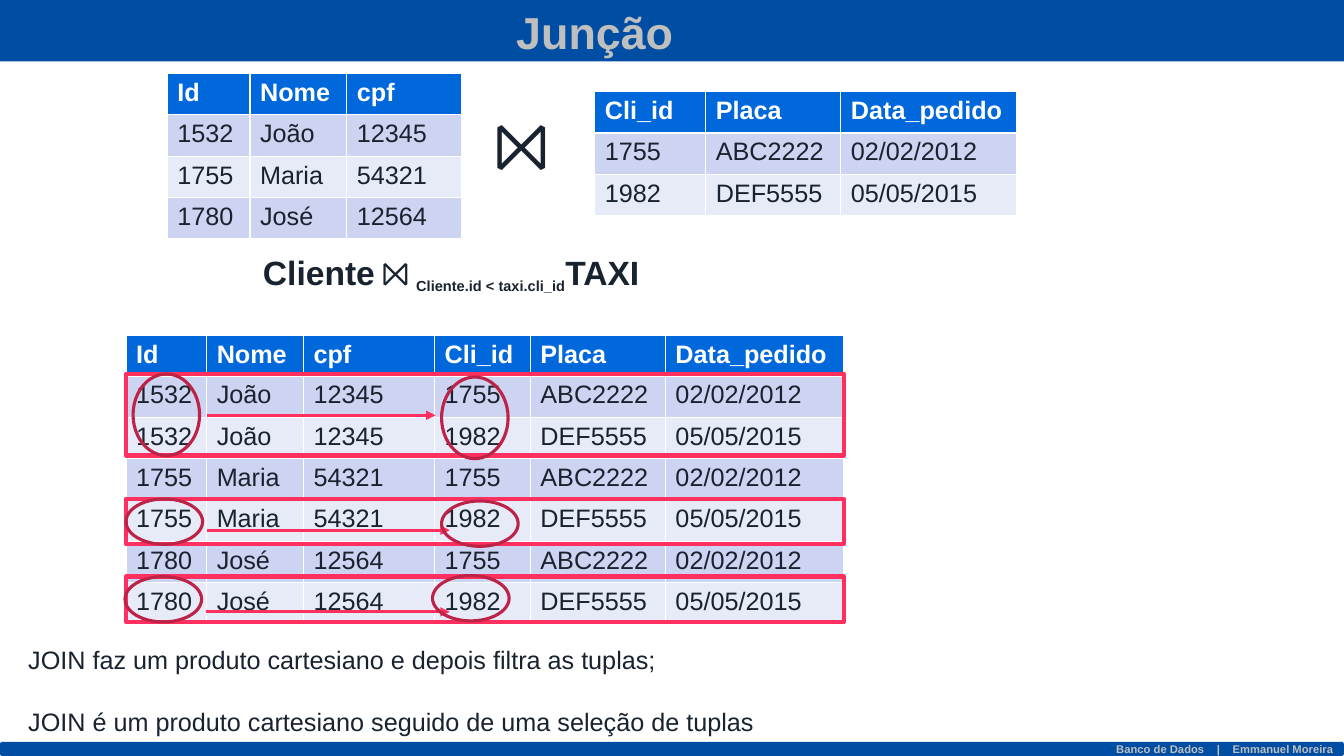
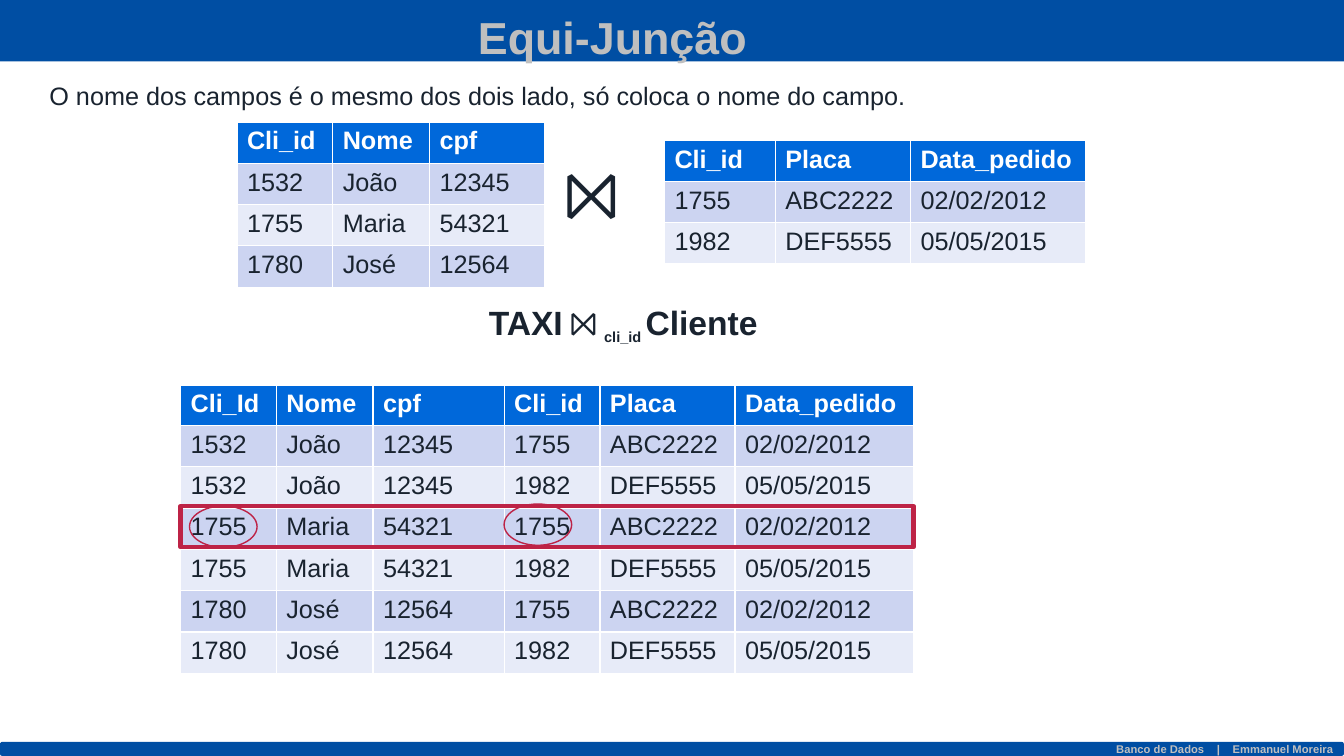
from itertools import product

from lxml.etree import SubElement
from pptx import Presentation
from pptx.dml.color import RGBColor
from pptx.enum.shapes import MSO_CONNECTOR as CONN, MSO_SHAPE as SHAPE
from pptx.enum.text import MSO_ANCHOR as ANCHOR, MSO_AUTO_SIZE as AUTO, PP_ALIGN as ALIGN
from pptx.oxml.ns import qn
from pptx.util import Inches, Pt

# Shared look
FONT = "Arial"
BAND, HEAD, ODD, EVEN = "004EA3", "0068DA", "CCD4F1", "E7EBF8"
GREY, WHITE, INK = "BFBFBF", "FFFFFF", "19232F"
PINK, CRIMSON = "FF2F5F", "BD2346"
ROW_H = 0.41
JOIN = "⨝"

# Shared data
CLIENTS = [("1532", "João", "12345"), ("1755", "Maria", "54321"), ("1780", "José", "12564")]
ORDERS = [("1755", "ABC2222", "02/02/2012"), ("1982", "DEF5555", "05/05/2015")]
ORDER_HEAD = ("Cli_id", "Placa", "Data_pedido")


def rgb(color):
    return RGBColor.from_string(color)


def inches(*values):
    return [Inches(v) for v in values]


def place(shape, box):
    shape.left, shape.top, shape.width, shape.height = inches(*box)


def style(r, size, color=INK, bold=False):
    f = r.font
    f.name, f.size, f.bold = FONT, Pt(size), bold
    f.color.rgb = rgb(color)


def add_run(p, text, size, color=INK, bold=False, **attrs):
    r = p.add_run()
    r.text = text
    style(r, size, color, bold)
    for name, value in attrs.items():
        r.font._element.set(name, value)


def add_shape(slide, kind, box, fill=None, line=None, width=1):
    sp = slide.shapes.add_shape(kind, *inches(*box))
    sp.shadow.inherit = False
    if fill:
        sp.fill.solid()
        sp.fill.fore_color.rgb = rgb(fill)
    else:
        sp.fill.background()
    if line:
        sp.line.color.rgb = rgb(line)
        sp.line.width = Pt(width)
    else:
        sp.line.fill.background()
    return sp


def add_arrow(slide, x1, x2, y):
    line = slide.shapes.add_connector(CONN.STRAIGHT, *inches(x1, y, x2, y))
    line.line.color.rgb = rgb(PINK)
    line.line.width = Pt(2.25)
    SubElement(line.line._get_or_add_ln(), qn("a:tailEnd"), type="triangle")
    SubElement(line.element.spPr, qn("a:effectLst"))


def add_bands(slide, layout):
    """Draw the top and bottom bands and move them to the layout."""
    top = add_shape(slide, SHAPE.RECTANGLE, (0, 0, 13.33, 0.61), BAND)
    foot = add_shape(slide, SHAPE.ROUNDED_RECTANGLE, (0, 7.36, 13.33, 0.14), BAND)
    foot.text_frame.vertical_anchor = ANCHOR.MIDDLE
    p = foot.text_frame.paragraphs[0]
    p.alignment = ALIGN.RIGHT
    for text in ("Banco de Dados", " ", "|", " ", "Emmanuel Moreira"):
        add_run(p, text, 8, GREY, True, spc="670" if text == " " else "0")
    for band in (top, foot):
        layout.shapes.element.insert(2, band.element)


def set_title(slide, text, box):
    sp = slide.shapes.title
    place(sp, box)
    tf = sp.text_frame
    tf.text = text
    tf.auto_size, tf.vertical_anchor = AUTO.NONE, ANCHOR.TOP
    p = tf.paragraphs[0]
    p.alignment = ALIGN.LEFT
    style(p.runs[0], 32, GREY, True)


def set_body(slide, lines, box):
    sp = slide.placeholders[1]
    place(sp, box)
    tf = sp.text_frame
    tf.text = "\n".join(lines)
    tf.auto_size = AUTO.NONE
    for i, p in enumerate(tf.paragraphs):
        p.space_before = Pt(23 if i else 0)
        pPr = p._p.get_or_add_pPr()
        pPr.set("marL", "0")
        pPr.set("indent", "0")
        SubElement(pPr, qn("a:buNone"))
        style(p.runs[0], 18)


def add_text(slide, box, runs):
    """Each run is (text, size, extra attributes)."""
    tf = slide.shapes.add_textbox(*inches(*box)).text_frame
    tf.word_wrap = True
    for text, size, attrs in runs:
        add_run(tf.paragraphs[0], text, size, bold=True, **attrs)


def add_formula(slide, box, first, condition, second):
    add_text(slide, box, [(first, 24, {}), (" ", 18, {}), (JOIN, 24, {}), (" ", 18, {}),
                          (condition, 18, {"baseline": "-25000"}), (second, 24, {})])


def add_table(slide, left, top, widths, head, rows, head_h=ROW_H):
    cells = [head, *rows]
    box = (left, top, sum(widths), head_h + ROW_H * len(rows))
    table = slide.shapes.add_table(len(cells), len(head), *inches(*box)).table
    for col, width in zip(table.columns, widths):
        col.width = Inches(width)
    for i, row in enumerate(cells):
        table.rows[i].height = Inches(ROW_H if i else head_h)
        for j, text in enumerate(row):
            cell = table.cell(i, j)
            cell.fill.solid()
            cell.fill.fore_color.rgb = rgb((ODD if i % 2 else EVEN) if i else HEAD)
            cell.text_frame.text = text
            style(cell.text_frame.paragraphs[0].runs[0], 18, INK if i else WHITE, i == 0)


def add_operands(slide, left, top, key, key_w):
    """The two tables to be joined, with the join sign between them."""
    add_table(slide, left, top, (key_w, 0.96, 1.14), (key, "Nome", "cpf"), CLIENTS)
    add_text(slide, (left + 3.15, top + 0.24, 0.9, 0.91), [(JOIN, 48, {})])
    add_table(slide, left + 4.24, top + 0.18, (1.1, 1.34, 1.74), ORDER_HEAD, ORDERS)


def add_product(slide, left, top, key, key_w):
    """The Cartesian product as two tables side by side."""
    clients, orders = zip(*product(CLIENTS, ORDERS))
    widths = (key_w, 0.96, 1.3)
    # Both heads are drawn equally high, as the text needs 0.39
    add_table(slide, left, top, widths, (key, "Nome", "cpf"), clients, 0.4)
    add_table(slide, left + sum(widths), top, (0.95, 1.34, 1.77), ORDER_HEAD, orders, 0.39)


def join_slide(slide):
    set_title(slide, "Junção", (5.02, 0, 2.2, 0.64))
    add_operands(slide, 1.66, 0.73, "Id", 0.82)
    add_formula(slide, (2.51, 2.45, 4.8, 0.5), "Cliente", "Cliente.id < taxi.cli_id", "TAXI")
    add_product(slide, 1.25, 3.33, "Id", 0.8)
    set_body(slide, ["JOIN faz um produto cartesiano e depois filtra as tuplas;",
                     "JOIN é um produto cartesiano seguido de uma seleção de tuplas"],
             (0.18, 6.34, 8, 1.01))
    # Rows that meet the condition
    for y, h in ((3.71, 0.81), (4.95, 0.45), (5.72, 0.45)):
        add_shape(slide, SHAPE.RECTANGLE, (1.25, y, 7.12, h), line=PINK, width=3)
    # Compared keys
    for x1, x2, y in ((2.05, 4.32, 4.12), (2.05, 4.46, 5.26), (2.04, 4.46, 6.07)):
        add_arrow(slide, x1, x2, y)
    for x, y, w, h in ((1.32, 3.71, 0.66, 0.81), (4.38, 3.74, 0.66, 0.81),
                       (1.25, 4.95, 0.76, 0.45), (4.38, 4.97, 0.76, 0.45),
                       (1.24, 5.72, 0.76, 0.45), (4.29, 5.71, 0.76, 0.45)):
        add_shape(slide, SHAPE.OVAL, (x, y, w, h), line=CRIMSON, width=2.25)


def equi_join_slide(slide):
    set_title(slide, "Equi-Junção", (4.64, 0.05, 3.3, 0.64))
    set_body(slide, ["O nome dos campos é o mesmo dos dois lado, só coloca o nome do campo."],
             (0.39, 0.75, 9.2, 0.4))
    add_operands(slide, 2.35, 1.21, "Cli_id", 0.95)
    add_formula(slide, (4.75, 2.95, 3.5, 0.5), "TAXI", "cli_id ", "Cliente")
    add_product(slide, 1.79, 3.82, "Cli_Id", 0.95)
    # Row with equal keys
    add_shape(slide, SHAPE.RECTANGLE, (1.79, 5.02, 7.27, 0.41), line=CRIMSON, width=3)
    for x, y in ((1.88, 5.02), (5, 5)):
        add_shape(slide, SHAPE.OVAL, (x, y, 0.67, 0.41), line=CRIMSON)


def main():
    prs = Presentation()
    prs.slide_width, prs.slide_height = inches(13.33, 7.5)
    layout = prs.slide_layouts[1]
    slides = [prs.slides.add_slide(layout) for _ in range(2)]
    add_bands(slides[0], layout)
    join_slide(slides[0])
    equi_join_slide(slides[1])
    prs.save("out.pptx")


if __name__ == "__main__":
    main()
